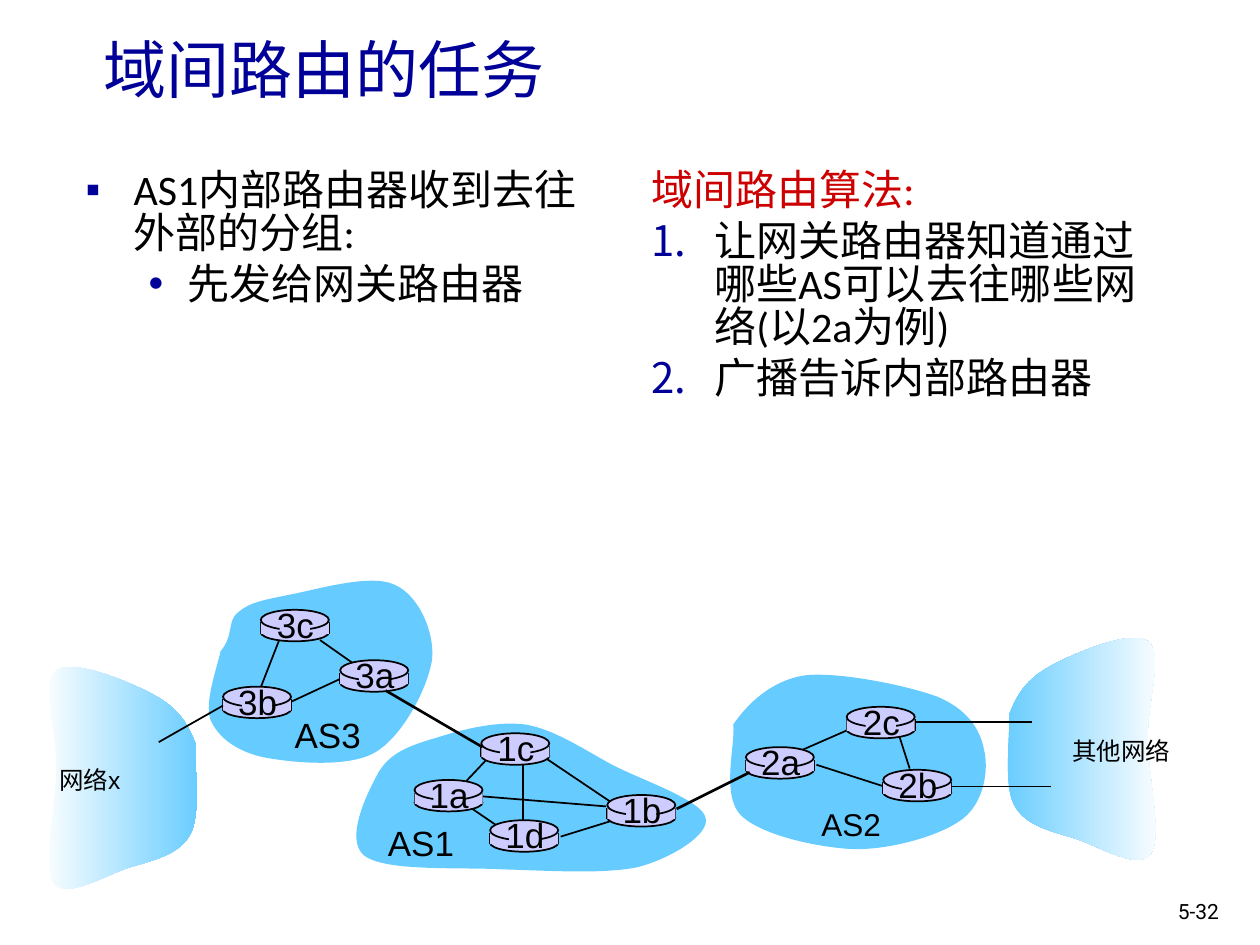
import typing

import lxml.etree
import pptx
import pptx.dml.color
import pptx.enum.shapes
import pptx.enum.text
import pptx.oxml.ns
import pptx.util

Inches = pptx.util.Inches
Pt = pptx.util.Pt
SHAPE = pptx.enum.shapes.MSO_SHAPE
ALIGN = pptx.enum.text.PP_ALIGN
FIT = pptx.enum.text.MSO_AUTO_SIZE
qn = pptx.oxml.ns.qn

NAVY, RED, BLACK, WHITE = "000099", "CC0000", "000000", "FFFFFF"
SKY, LILAC = "66CCFF", "CCCCFF"
CJK = "Noto Sans CJK SC"
Point = tuple[float, float]


class Router(typing.NamedTuple):
    name: str
    x: float
    y: float


class Link(typing.NamedTuple):
    start: Point
    end: Point
    width: float = 1


class Label(typing.NamedTuple):
    text: str
    box: tuple[float, float, float, float]
    size: float
    font: str = "Arial"
    wrap: bool = False


class Item(typing.NamedTuple):
    text: str
    color: str
    margin: float
    indent: float
    mark: str = ""
    level: int = 0


class Area(typing.NamedTuple):
    points: list[Point]
    label: Label
    links: list[Link]
    routers: list[Router]


# Each outline is a start point followed by cubic curves of three points.
EDGE = [(8.01, 5.67), (8.07, 5.51), (8.15, 5.39), (8.33, 5.29),
        (8.51, 5.19), (8.98, 4.99), (9.11, 5.09), (9.24, 5.18), (9.1, 5.59), (9.11, 5.87),
        (9.11, 6.16), (9.23, 6.65), (9.13, 6.78), (9.04, 6.91), (8.73, 6.72), (8.55, 6.66),
        (8.36, 6.6), (8.14, 6.56), (8.05, 6.39), (7.96, 6.23), (8.02, 5.82), (8.01, 5.67)]

AS2 = Area(
    [(5.82, 5.75), (5.93, 5.59), (6.12, 5.4), (6.39, 5.36),
     (6.66, 5.33), (7.2, 5.44), (7.44, 5.53), (7.68, 5.63), (7.78, 5.79), (7.81, 5.95),
     (7.85, 6.11), (7.81, 6.37), (7.64, 6.5), (7.47, 6.63), (7.09, 6.74), (6.79, 6.74),
     (6.5, 6.73), (6.04, 6.63), (5.88, 6.47), (5.72, 6.31), (5.84, 5.9), (5.82, 5.75)],
    Label("AS2", (6.42, 6.34, 0.67, 0.4), 18),
    [Link((6.28, 5.99), (6.76, 5.78)), Link((7.26, 5.73), (8.19, 5.73), 0.75),
     Link((7.53, 6.24), (8.34, 6.24), 0.75), Link((6.48, 6.07), (7.01, 6.24)),
     Link((7.14, 5.85), (7.22, 6.1))],
    [Router("2a", 5.92, 5.93), Router("2c", 6.72, 5.61), Router("2b", 7.01, 6.11)])

AS3 = Area(
    [(1.75, 5.17), (1.86, 5.04), (1.8, 4.93), (1.89, 4.86),
     (1.98, 4.78), (2.1, 4.76), (2.3, 4.72), (2.51, 4.68), (2.94, 4.55), (3.13, 4.64),
     (3.32, 4.72), (3.45, 5.01), (3.43, 5.23), (3.4, 5.45), (3.2, 5.84), (2.98, 5.97),
     (2.76, 6.1), (2.3, 6.05), (2.09, 6.01), (1.87, 5.96), (1.73, 5.85), (1.67, 5.71),
     (1.62, 5.57), (1.73, 5.28), (1.75, 5.17)],
    Label("AS3", (2.24, 5.61, 0.73, 0.43), 20),
    [Link((2.31, 5.57), (2.74, 5.37)), Link((2.81, 5.27), (2.54, 5.08)),
     Link((2.22, 5.07), (2.06, 5.48))],
    [Router("3b", 1.77, 5.45), Router("3c", 2.07, 4.84), Router("3a", 2.7, 5.24)])

AS1 = Area(
    [(3.01, 6.12), (3.11, 5.96), (3.28, 5.91), (3.48, 5.85),
     (3.67, 5.79), (3.94, 5.72), (4.17, 5.75), (4.4, 5.79), (4.62, 5.94), (4.86, 6.07),
     (5.09, 6.19), (5.57, 6.35), (5.6, 6.49), (5.64, 6.62), (5.33, 6.81), (5.07, 6.88),
     (4.8, 6.94), (4.36, 6.91), (4, 6.9), (3.64, 6.88), (3.06, 6.92), (2.89, 6.79),
     (2.73, 6.66), (2.92, 6.28), (3.01, 6.12)],
    Label("AS1", (2.98, 6.47, 0.73, 0.43), 20),
    [Link((3.87, 6.02), (3.7, 6.2)), Link((4.15, 6.06), (4.15, 6.56)),
     Link((4.32, 6.01), (4.87, 6.38)), Link((4.87, 6.51), (4.45, 6.64)),
     Link((4.81, 6.4), (3.82, 6.32)), Link((3.72, 6.4), (3.94, 6.55))],
    [Router("1c", 3.82, 5.82), Router("1a", 3.29, 6.19),
     Router("1d", 3.89, 6.51), Router("1b", 4.82, 6.31)])

OUTER = [Link((1.77, 5.6), (1.26, 5.89)), Link((5.37, 6.42), (5.95, 6.13), 1.5),
         Link((3.06, 5.48), (3.83, 5.93), 1.5)]

LABELS = [Label("其他网络", (8.41, 5.79, 0.99, 0.34), 14),
          Label("网络x", (0.37, 6.02, 0.69, 0.34), 14, wrap=True),
          Label("5-32", (9.25, 7.08, 0.6, 0.3), 12, "Roboto", True)]

LEFT = [Item("AS1内部路由器收到去往外部的分组:", BLACK, 0.38, -0.38, "▪"),
        Item("先发给网关路由器", BLACK, 0.81, -0.31, "•", 1)]
RIGHT = [Item("域间路由算法:", RED, 0.5, -0.5),
         Item("让网关路由器知道通过哪些AS可以去往哪些网络(以2a为例)", BLACK, 0.5, -0.5, "1."),
         Item("广播告诉内部路由器", BLACK, 0.5, -0.5, "1.")]


def rgb(code: str):
    return pptx.dml.color.RGBColor.from_string(code)


def apply(target, values: dict) -> None:
    for key, value in values.items():
        setattr(target, key, value)


def place(shape, *box: float) -> None:
    apply(shape, dict(zip(("left", "top", "width", "height"), map(Inches, box))))


def write(par, text: str, size: float, font: str, color: str = BLACK) -> None:
    run = par.add_run()
    run.text = text
    apply(run.font, {"size": Pt(size), "name": font})
    run.font.color.rgb = rgb(color)
    lxml.etree.SubElement(run.font._element, qn("a:ea"), typeface=CJK)


def label(shapes, item: Label, align=ALIGN.LEFT) -> None:
    frame = shapes.add_textbox(*map(Inches, item.box)).text_frame
    apply(frame, {"word_wrap": item.wrap, "auto_size": FIT.SHAPE_TO_FIT_TEXT})
    frame.paragraphs[0].alignment = align
    write(frame.paragraphs[0], item.text, item.size, item.font)


def join(shapes, link: Link) -> None:
    line = shapes.add_connector(pptx.enum.shapes.MSO_CONNECTOR.STRAIGHT,
                                *map(Inches, link.start + link.end))
    line.line.color.rgb = rgb(BLACK)
    line.line.width = Pt(link.width)
    lxml.etree.SubElement(line._element.spPr, qn("a:effectLst"))


def solid(shapes, kind, box: tuple, edge: bool) -> None:
    shape = shapes.add_shape(kind, *map(Inches, box))
    shape.shadow.inherit = False
    shape.fill.solid()
    shape.fill.fore_color.rgb = rgb(LILAC)
    if edge:
        shape.line.color.rgb = rgb(BLACK)
        shape.line.width = Pt(1)
    else:
        shape.line.fill.background()


def router(shapes, item: Router) -> None:
    """Draw a flat cylinder with its name on top."""
    parts, (name, x, y) = shapes.add_group_shape().shapes, item
    solid(parts, SHAPE.OVAL, (x, y + 0.11, 0.54, 0.14), True)
    for side in (x, x + 0.54):
        join(parts, Link((side, y + 0.1), (side, y + 0.19)))
    solid(parts, SHAPE.RECTANGLE, (x, y + 0.1, 0.54, 0.09), False)
    solid(parts, SHAPE.OVAL, (x, y, 0.54, 0.16), True)
    solid(parts, SHAPE.RECTANGLE, (x + 0.15, y + 0.02, 0.24, 0.21), False)
    label(parts, Label(name, (x + 0.02, y - 0.1, 0.51, 0.43), 20), ALIGN.CENTER)


def bend(shape) -> None:
    """Turn each three straight steps of an outline into one cubic curve."""
    steps = list(shape._element.iter(qn("a:lnTo")))
    for i in range(0, len(steps), 3):
        curve = lxml.etree.Element(qn("a:cubicBezTo"))
        steps[i].addprevious(curve)
        for step in steps[i:i + 3]:
            curve.append(step[0])
            step.getparent().remove(step)


def cloud(shapes, points: list[Point], *colors: str) -> None:
    """Fill an outline with one colour, or with two from left to right."""
    pen = shapes.build_freeform(*map(Inches, points[0]))
    pen.add_line_segments([tuple(map(Inches, p)) for p in points[1:]])
    shape = pen.convert_to_shape()
    bend(shape)
    shape.shadow.inherit = False
    shape.line.fill.background()
    if len(colors) == 1:
        shape.fill.solid()
        shape.fill.fore_color.rgb = rgb(colors[0])
        return
    shape.fill.gradient()
    shape.fill.gradient_angle = 0
    for n, (stop, color) in enumerate(zip(shape.fill.gradient_stops, colors)):
        stop.color.rgb = rgb(color)
        stop.position = n


def area(shapes, item: Area) -> None:
    cloud(shapes, item.points, SKY)
    label(shapes, item.label)
    for link in item.links:
        join(shapes, link)
    for node in item.routers:
        router(shapes, node)


def fill_list(holder, items: list[Item], *box: float) -> None:
    place(holder, *box)
    frame = holder.text_frame
    frame.auto_size = FIT.NONE
    for n, item in enumerate(items):
        par = frame.add_paragraph() if n else frame.paragraphs[0]
        apply(par, {"level": item.level, "line_spacing": 0.85})
        write(par, item.text, 24, "Calibri", item.color)
        props = par._p.get_or_add_pPr()
        props.set("marL", str(Inches(item.margin)))
        props.set("indent", str(Inches(item.indent)))
        if not item.mark:
            lxml.etree.SubElement(props, qn("a:buNone"))
            continue
        tint = lxml.etree.SubElement(props, qn("a:buClr"))
        lxml.etree.SubElement(tint, qn("a:srgbClr"), val=NAVY)
        if item.mark == "1.":
            lxml.etree.SubElement(props, qn("a:buAutoNum"), type="arabicPeriod")
        else:
            lxml.etree.SubElement(props, qn("a:buChar"), char=item.mark)


def main() -> None:
    deck = pptx.Presentation()
    apply(deck, {"slide_width": Inches(10), "slide_height": Inches(7.5)})
    slide = deck.slides.add_slide(deck.slide_layouts[3])
    shapes = slide.shapes
    title, left, right = slide.placeholders
    place(title, 0.72, -0.08, 8.5, 1.25)
    title.text_frame.vertical_anchor = pptx.enum.text.MSO_ANCHOR.MIDDLE
    title.text_frame.paragraphs[0].alignment = ALIGN.LEFT
    write(title.text_frame.paragraphs[0], "域间路由的任务", 36, CJK, NAVY)
    fill_list(left, LEFT, 0.58, 1.31, 4.17, 3.19)
    fill_list(right, RIGHT, 5.07, 1.31, 4.17, 5.08)

    cloud(shapes, EDGE, SKY, WHITE)
    area(shapes, AS3)
    area(shapes.add_group_shape().shapes, AS1)
    area(shapes, AS2)
    cloud(shapes, [(9.56 - x, y + 0.23) for x, y in EDGE], WHITE, SKY)
    for link in OUTER:
        join(shapes, link)
    for item in LABELS:
        label(shapes, item)
    deck.save("out.pptx")


if __name__ == "__main__":
    main()
